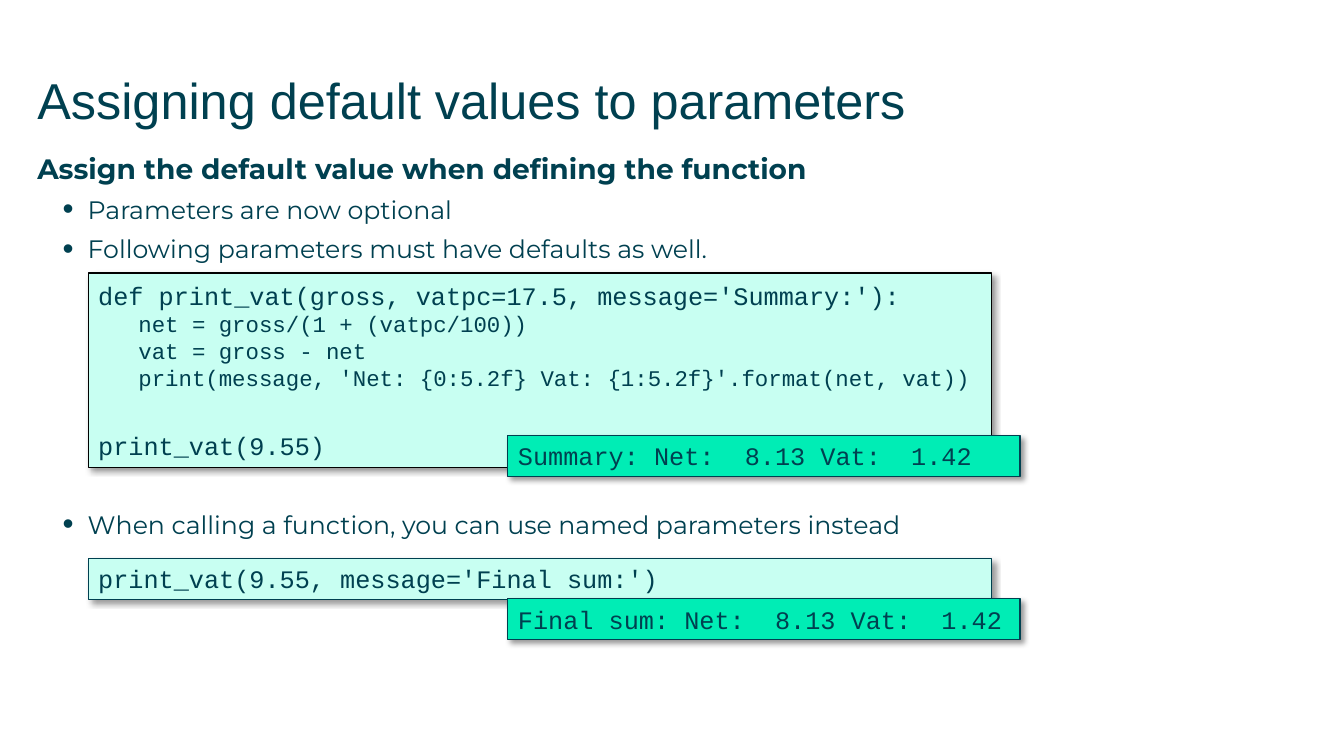
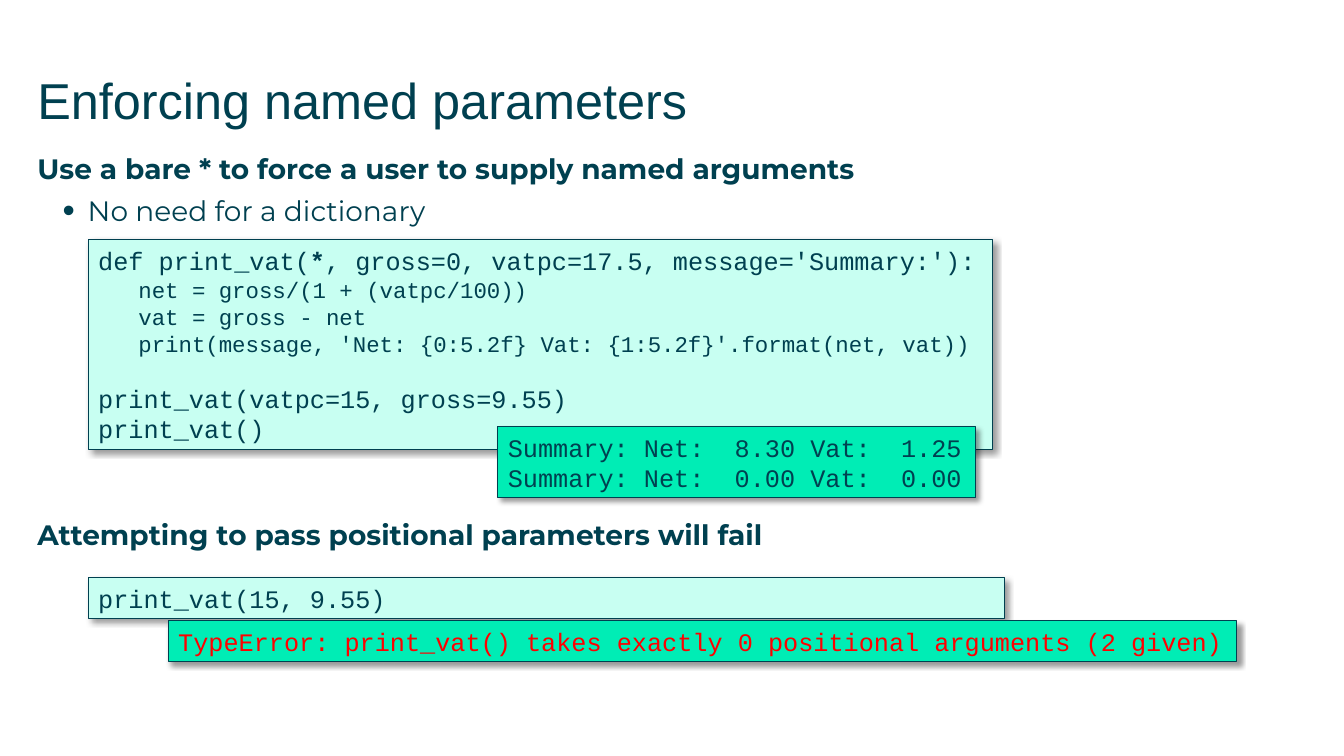
from lxml import etree
from pptx import Presentation
from pptx.dml.color import RGBColor
from pptx.enum.shapes import MSO_SHAPE
from pptx.enum.text import MSO_ANCHOR, PP_ALIGN
from pptx.oxml import parse_xml
from pptx.oxml.ns import nsdecls, qn
from pptx.util import Inches, Pt

# Shared colours and fonts
TEAL = RGBColor(0x00, 0x40, 0x50)
MINT = RGBColor(0xC8, 0xFF, 0xF2)
GREEN = RGBColor(0x00, 0xED, 0xB5)
BLACK = RGBColor(0x00, 0x00, 0x00)
RED = RGBColor(0xFF, 0x00, 0x00)
TITLE_FONT, BODY_FONT, CODE_FONT = "Arial", "Montserrat", "Courier New"
SHADOW = (
    f'<a:effectLst {nsdecls("a")}><a:outerShdw blurRad="50800" dist="38100" '
    'dir="2700000" algn="tl" rotWithShape="0"><a:srgbClr val="000000">'
    '<a:alpha val="40000"/></a:srgbClr></a:outerShdw></a:effectLst>'
)

prs = Presentation()
prs.slide_width, prs.slide_height = Inches(13.33), Inches(7.5)
COL, ROW = prs.slide_width / 100, prs.slide_height / 100  # 1% of the slide

# Places shared by both slides, in columns and rows
MARGIN, TEXT_W = 2.78, 94.5
TITLE_ROW, BODY_ROW = 9.2, 20
CODE_COL, LINE_H = 6.57, 5.4


def place(left, top, width, height):
    return int(left * COL), int(top * ROW), int(width * COL), int(height * ROW)


def add_run(p, text, font, size, color, bold=False):
    r = p.add_run()
    r.text = text
    r.font.name, r.font.size, r.font.bold = font, Pt(size), bold
    r.font.color.rgb = color


# Code lines: (size, space before, runs as (text, bold))
BODY_LINES = [
    (16, 0, [(line, False)])
    for line in (
        "   net = gross/(1 + (vatpc/100))",
        "   vat = gross - net",
        "   print(message, 'Net: {0:5.2f} Vat: {1:5.2f}'.format(net, vat))",
    )
]

# texts: (row, [(text, level, size)])
# boxes: (place, fill, line colour, line width, text colour, code lines)
slides = [
    {
        "title": "Assigning default values to parameters",
        "texts": [
            (BODY_ROW, [
                ("Assign the default value when defining the function", 0, 20),
                ("Parameters are now optional", 1, 18),
                ("Following parameters must have defaults as well.", 1, 18),
            ]),
            (67.3, [("When calling a function, you can use named parameters instead", 1, 18)]),
        ],
        "boxes": [
            ((CODE_COL, 36.13, 67.2, 25.73), MINT, BLACK, 1, TEAL, [
                (18, 0, [("def print_vat(gross, vatpc=17.5, message='Summary:'):", False)]),
                *BODY_LINES,
                (18, 28, [("print_vat(9.55)", False)]),
            ]),
            ((37.8, 57.6, 38.1, LINE_H), GREEN, TEAL, 0.75, TEAL,
             [(18, 0, [("Summary: Net:  8.13 Vat:  1.42", False)])]),
            ((CODE_COL, 73.87, 67.2, LINE_H), MINT, TEAL, 0.75, TEAL,
             [(18, 0, [("print_vat(9.55, message='Final sum:')", False)])]),
            ((37.8, 79.2, 38.1, LINE_H), GREEN, TEAL, 0.75, TEAL,
             [(18, 0, [("Final sum: Net:  8.13 Vat:  1.42", False)])]),
        ],
    },
    {
        "title": "Enforcing named parameters",
        "texts": [
            (BODY_ROW, [
                ("Use a bare * to force a user to supply named arguments", 0, 20),
                ("No need for a dictionary", 1, 20),
            ]),
            (68.5, [("Attempting to pass positional parameters will fail", 0, 20)]),
        ],
        "boxes": [
            ((CODE_COL, 31.73, 67.3, 27.73), MINT, TEAL, 0.75, TEAL, [
                (18, 0, [("def print_vat(", False), ("*", True),
                         (", gross=0, vatpc=17.5, message='Summary:'):", False)]),
                *BODY_LINES,
                (18, 19, [("print_vat(vatpc=15, gross=9.55)", False)]),
                (18, 0, [("print_vat()", False)]),
            ]),
            ((37.05, 56.4, 35.55, 9.47), GREEN, TEAL, 0.75, TEAL, [
                (18, 0, [("Summary: Net:  8.30 Vat:  1.25", False)]),
                (18, 0, [("Summary: Net:  0.00 Vat:  0.00", False)]),
            ]),
            ((CODE_COL, 76.4, 68.2, LINE_H), MINT, TEAL, 0.75, TEAL,
             [(18, 0, [("print_vat(15, 9.55)", False)])]),
            ((12.52, 82.13, 79.5, LINE_H), GREEN, TEAL, 0.75, RED, [
                (18, 0, [("TypeError: print_vat() takes exactly 0 positional "
                          "arguments (2 given)", False)]),
            ]),
        ],
    },
]

for content in slides:
    s = prs.slides.add_slide(prs.slide_layouts[6])

    # Title and body text
    texts = [(TITLE_ROW, [(content["title"], 0, 36)]), *content["texts"]]
    for row, paragraphs in texts:
        font = TITLE_FONT if row == TITLE_ROW else BODY_FONT
        tf = s.shapes.add_textbox(*place(MARGIN, row, TEXT_W, 6 * len(paragraphs))).text_frame
        tf.word_wrap = True
        tf.margin_left = tf.margin_right = tf.margin_top = tf.margin_bottom = 0
        for i, (text, level, size) in enumerate(paragraphs):
            p = tf.paragraphs[0] if i == 0 else tf.add_paragraph()
            p.space_after = Pt(6.5)
            if level:
                pPr = p._p.get_or_add_pPr()
                pPr.set("marL", str(Inches(0.5)))
                pPr.set("indent", str(Inches(-0.25)))
                etree.SubElement(pPr, qn("a:buSzPct")).set("val", "125000")
                etree.SubElement(pPr, qn("a:buFont")).set("typeface", "Arial")
                etree.SubElement(pPr, qn("a:buChar")).set("char", "•")
            add_run(p, text, font, size, TEAL, font == BODY_FONT and level == 0)

    # Code and output boxes
    for where, fill, line, width, color, lines in content["boxes"]:
        sp = s.shapes.add_shape(MSO_SHAPE.RECTANGLE, *place(*where))
        sp.fill.solid()
        sp.fill.fore_color.rgb = fill
        sp.line.color.rgb, sp.line.width = line, Pt(width)
        sp._element.spPr.append(parse_xml(SHADOW))
        tf = sp.text_frame
        tf.word_wrap = True
        tf.vertical_anchor = MSO_ANCHOR.MIDDLE
        tf.margin_left = tf.margin_right = Inches(0.1)
        tf.margin_top = tf.margin_bottom = Inches(0.05)
        for i, (size, before, runs) in enumerate(lines):
            p = tf.paragraphs[0] if i == 0 else tf.add_paragraph()
            p.alignment = PP_ALIGN.LEFT
            if before:
                p.space_before = Pt(before)
            for text, bold in runs:
                add_run(p, text, CODE_FONT, size, color, bold)

prs.save("out.pptx")
